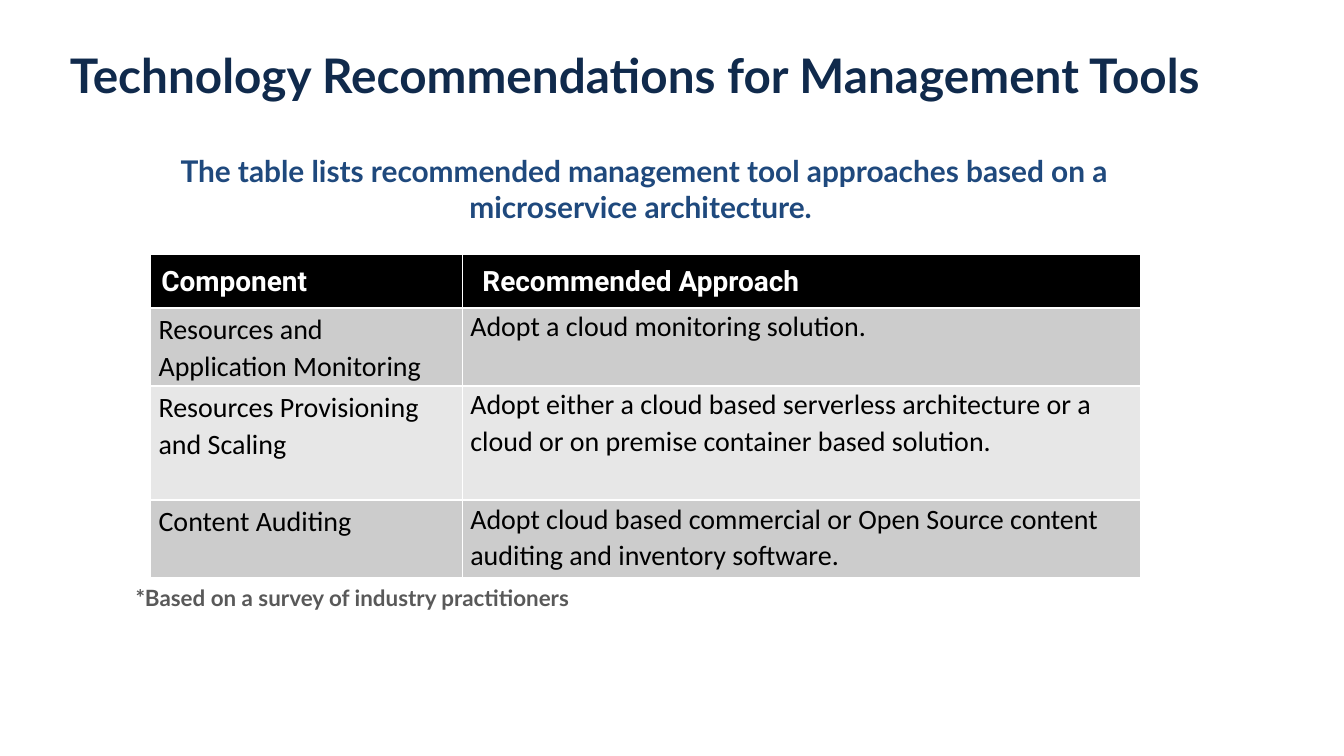
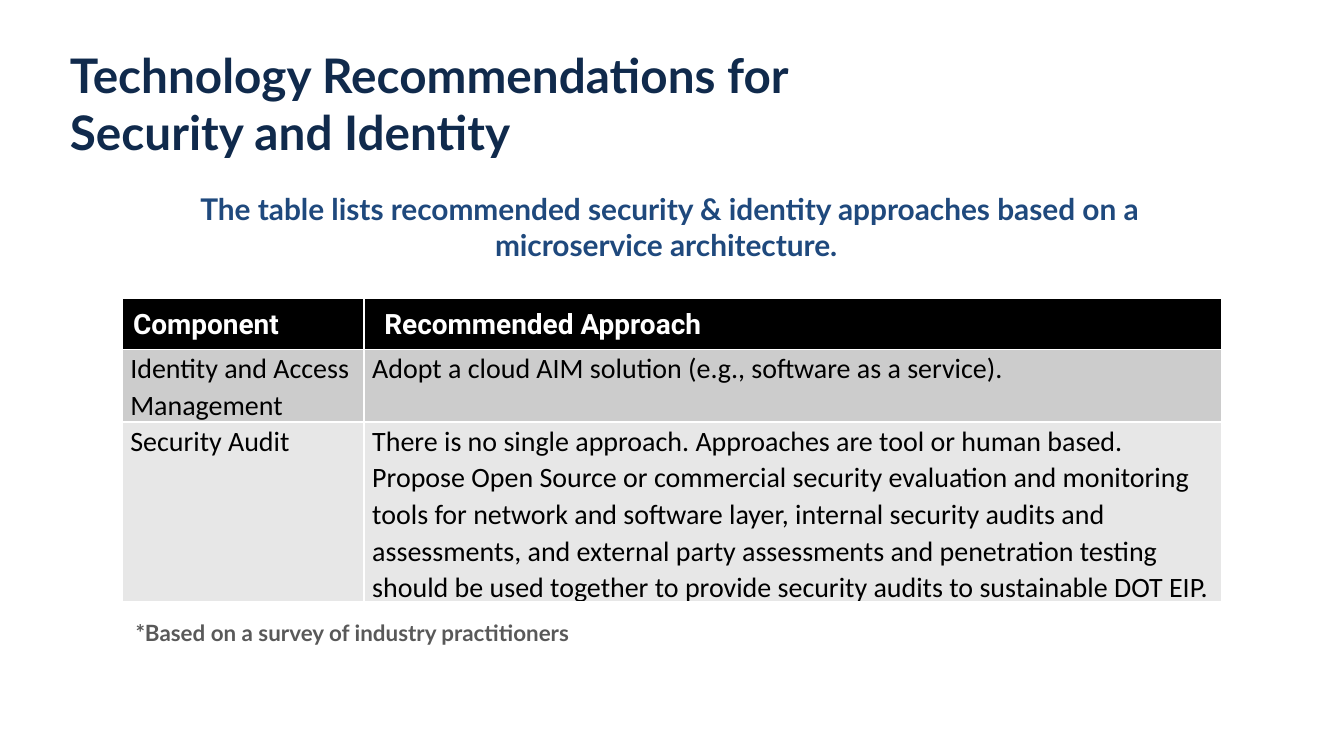
from pptx import Presentation
from pptx.dml.color import RGBColor
from pptx.enum.text import MSO_ANCHOR as Anchor, MSO_AUTO_SIZE as AutoSize, PP_ALIGN as Align
from pptx.util import Inches, Pt

# Colours and fonts
NAVY = RGBColor(0x10, 0x2A, 0x4C)
BLUE = RGBColor(0x1F, 0x49, 0x7D)
GREY = RGBColor(0x59, 0x59, 0x59)
BLACK = RGBColor(0, 0, 0)
WHITE = RGBColor(0xFF, 0xFF, 0xFF)
BANDS = (RGBColor(0xCC, 0xCC, 0xCC), RGBColor(0xE7, 0xE7, 0xE7))
HEADING_FONT, HEADER_FONT, BODY_FONT = "Lato", "Roboto", "Calibri"

# Shared wording
HEADER = ("Component", "Recommended Approach")
FOOTNOTE = "*Based on a survey of industry practitioners"


class Deck:
    """Holds the shared style and the slide being built."""

    def __init__(self):
        self.prs = Presentation()
        self.prs.slide_width = Inches(10)
        self.prs.slide_height = Inches(10) * 9 // 16
        self.slide = None

    def add_run(self, paragraph, text, font, size, color, bold=True):
        run = paragraph.add_run()
        run.text = text
        run.font.name, run.font.size, run.font.bold = font, Pt(size), bold
        run.font.color.rgb = color

    def start_slide(self, *title_lines):
        self.slide = self.prs.slides.add_slide(self.prs.slide_layouts[5])
        title = self.slide.shapes.title
        title.left, title.top = Inches(0.42), Inches(0.29)
        title.width, title.height = Inches(9.14), Inches(0.43)
        frame = title.text_frame
        frame.auto_size, frame.word_wrap = AutoSize.NONE, True
        frame.vertical_anchor = Anchor.TOP
        paragraph = frame.paragraphs[0]
        paragraph.alignment = Align.LEFT
        for number, line in enumerate(title_lines):
            if number:
                paragraph.add_line_break()
            self.add_run(paragraph, line, HEADING_FONT, 25.5, NAVY)

    def add_text(self, text, left, top, width, height, size, color, align, wrap):
        box = self.slide.shapes.add_textbox(
            Inches(left), Inches(top), Inches(width), Inches(height))
        frame = box.text_frame
        frame.word_wrap, frame.auto_size = wrap, AutoSize.SHAPE_TO_FIT_TEXT
        frame.paragraphs[0].alignment = align
        self.add_run(frame.paragraphs[0], text, HEADING_FONT, size, color)

    def add_summary(self, text, left, top):
        self.add_text(text, left, top, 8.37, 0.64, 16, BLUE, Align.CENTER, True)

    def add_footnote(self, top):
        self.add_text(FOOTNOTE, 0.91, top, 3.72, 0.3, 12, GREY, Align.LEFT, False)

    def fill_cell(self, cell, text, is_header, fill, insets):
        cell.fill.solid()
        cell.fill.fore_color.rgb = fill
        cell.margin_left, cell.margin_top, cell.margin_right, cell.margin_bottom = map(Inches, insets)
        cell.vertical_anchor = Anchor.MIDDLE if is_header else Anchor.TOP
        paragraph = cell.text_frame.paragraphs[0]
        paragraph.line_spacing = 1.07
        font, color = (HEADER_FONT, WHITE) if is_header else (BODY_FONT, BLACK)
        self.add_run(paragraph, text, font, 15, color, is_header)

    def add_approaches(self, left, top, widths, heights, rows, component_pad=0):
        table = self.slide.shapes.add_table(
            len(heights), len(widths), Inches(left), Inches(top),
            Inches(sum(widths)), Inches(sum(heights))).table
        for column, width in zip(table.columns, widths):
            column.width = Inches(width)
        for row, height in zip(table.rows, heights):
            row.height = Inches(height)

        # Header row
        for column, (text, pad) in enumerate(zip(HEADER, (0.01, 0.15))):
            self.fill_cell(table.cell(0, column), text, True, BLACK, (pad, 0, 0.01, 0))
        first = table.cell(0, 0).text_frame.paragraphs[0]
        first._p.get_or_add_pPr().set("indent", str(Inches(0.07)))

        # Banded body rows
        for number, texts in enumerate(rows, 1):
            fill = BANDS[(number - 1) % 2]
            for column, (text, pad) in enumerate(zip(texts, (component_pad, 0))):
                self.fill_cell(table.cell(number, column), text, False, fill,
                               (0.06, pad, 0.06, pad))


def main():
    deck = Deck()

    # Management tools
    deck.start_slide("Technology Recommendations for Management Tools")
    deck.add_summary("The table lists recommended management tool approaches "
                     "based on a microservice architecture. ", 0.61, 1.09)
    deck.add_footnote(4.3)
    deck.add_approaches(1.12, 1.89, (2.32, 5.05), (0.4, 0.58, 0.85, 0.58), [
        ("Resources and Application Monitoring",
         "Adopt a cloud monitoring solution."),
        ("Resources Provisioning and Scaling",
         "Adopt either a cloud based serverless architecture or a cloud or "
         "on premise container based solution."),
        ("Content Auditing",
         "Adopt cloud based commercial or Open Source content auditing and "
         "inventory software."),
    ], component_pad=0.02)

    # Security and identity
    deck.start_slide("Technology Recommendations for ", "Security and Identity")
    deck.add_summary("The table lists recommended security & identity approaches "
                     "based on a microservice architecture. ", 0.8, 1.37)
    deck.add_footnote(4.56)
    deck.add_approaches(0.91, 2.22, (1.8, 6.38), (0.38, 0.54, 1.34), [
        ("Identity and Access Management",
         "Adopt a cloud AIM solution (e.g., software as a service)."),
        ("Security Audit",
         "There is no single approach. Approaches are tool or human based. "
         "Propose Open Source or commercial security evaluation and monitoring "
         "tools for network and software layer, internal security audits and "
         "assessments, and external party assessments and penetration testing "
         "should be used together to provide security audits to sustainable "
         "DOT EIP."),
    ])

    deck.prs.save("out.pptx")


if __name__ == "__main__":
    main()
